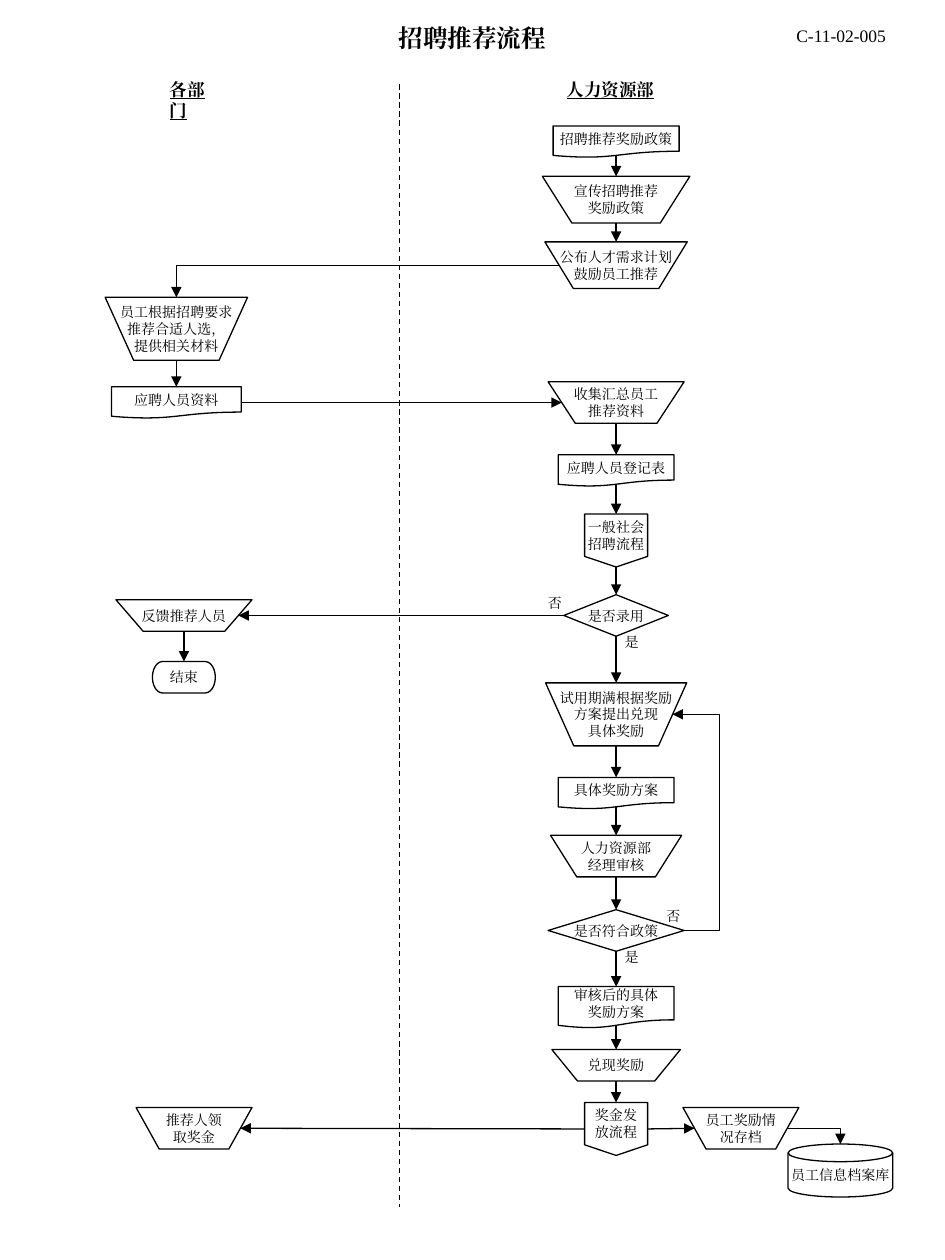
from dataclasses import dataclass

from lxml.etree import SubElement
from pptx import Presentation
from pptx.dml.color import RGBColor
from pptx.enum.dml import MSO_LINE
from pptx.enum.shapes import MSO_CONNECTOR, MSO_SHAPE
from pptx.enum.text import MSO_ANCHOR, MSO_AUTO_SIZE, PP_ALIGN
from pptx.oxml.ns import qn
from pptx.util import Inches, Pt


@dataclass(frozen=True)
class Theme:
    ink: RGBColor = RGBColor(0, 0, 0)
    paper: RGBColor = RGBColor(255, 255, 255)
    font: str = "Times New Roman"
    title_size: Pt = Pt(14)
    heading_size: Pt = Pt(10)
    node_size: Pt = Pt(8)
    stroke: Pt = Pt(0.75)


theme = Theme()
MARGINS = {
    "margin_left": Inches(0.1), "margin_right": Inches(0.1),
    "margin_top": Inches(0.05), "margin_bottom": Inches(0.05),
}
NODE_FRAME = {**MARGINS, "word_wrap": False, "vertical_anchor": MSO_ANCHOR.MIDDLE}
LABEL_FRAME = {**MARGINS, "word_wrap": False, "vertical_anchor": MSO_ANCHOR.TOP,
               "auto_size": MSO_AUTO_SIZE.SHAPE_TO_FIT_TEXT}
WRAPPED_FRAME = {**LABEL_FRAME, "word_wrap": True}
TITLE_FONT = {"size": theme.title_size, "bold": True}
HEADING_FONT = {"size": theme.heading_size, "bold": True, "underline": True}
CODE_FONT = {"size": theme.heading_size}
NODE_FONT = {"size": theme.node_size}


def write_text(frame, text, frame_format, font_format, align):
    frame.text = text
    for name, value in frame_format.items():
        setattr(frame, name, value)
    for paragraph in frame.paragraphs:
        paragraph.alignment = align
        for run in paragraph.runs:
            for name, value in {"name": theme.font, **font_format}.items():
                setattr(run.font, name, value)
            run.font.color.rgb = theme.ink
            # East Asian characters take the same typeface as Latin ones
            SubElement(run.font._element, qn("a:ea"), typeface=theme.font)


def style_line(connector, arrow):
    connector.line.color.rgb = theme.ink
    connector.line.width = theme.stroke
    if arrow:
        SubElement(connector.line._get_or_add_ln(), qn("a:tailEnd"), type="triangle")
    SubElement(connector._element.spPr, qn("a:effectLst"))


prs = Presentation()
prs.slide_width, prs.slide_height = Inches(7.5), Inches(10)
slide = prs.slides.add_slide(prs.slide_layouts[5])
shapes = slide.shapes

title = shapes.title
title.left, title.top = Inches(0), Inches(0.13)
title.width, title.height = Inches(7.5), Inches(0.34)
write_text(title.text_frame, "招聘推荐流程", WRAPPED_FRAME, TITLE_FONT, PP_ALIGN.CENTER)

# Flow steps: key, kind, centre x, top, width, height, text
OPERATION = MSO_SHAPE.FLOWCHART_MANUAL_OPERATION
DOCUMENT = MSO_SHAPE.FLOWCHART_DOCUMENT
DECISION = MSO_SHAPE.FLOWCHART_DECISION
SUBFLOW = MSO_SHAPE.FLOWCHART_OFFPAGE_CONNECTOR
TERMINATOR = MSO_SHAPE.FLOWCHART_TERMINATOR
DATABASE = MSO_SHAPE.FLOWCHART_MAGNETIC_DISK
HR = 4.89
steps = [
    ("policy", DOCUMENT, HR, 1, 1, 0.25, "招聘推荐奖励政策"),
    ("promote", OPERATION, HR, 1.4, 1.17, 0.37, "宣传招聘推荐\n奖励政策"),
    ("publish", OPERATION, HR, 1.92, 1.13, 0.37, "公布人才需求计划\n鼓励员工推荐"),
    ("recommend", OPERATION, 1.4, 2.36, 1.13, 0.5,
     "员工根据招聘要求\n推荐合适人选，\n提供相关材料"),
    ("candidate", DOCUMENT, 1.4, 3.07, 1.03, 0.25, "应聘人员资料"),
    ("collect", OPERATION, HR, 3.03, 1.08, 0.33, "收集汇总员工\n推荐资料"),
    ("register", DOCUMENT, HR, 3.61, 0.92, 0.25, "应聘人员登记表"),
    ("recruit", SUBFLOW, HR, 4.08, 0.5, 0.42, "一般社会\n招聘流程"),
    ("hired", DECISION, HR, 4.72, 0.83, 0.33, "是否录用"),
    ("feedback", OPERATION, 1.46, 4.76, 1.08, 0.25, "反馈推荐人员"),
    ("finish", TERMINATOR, 1.46, 5.25, 0.5, 0.25, "结束"),
    ("propose", OPERATION, HR, 5.42, 1.12, 0.5, "试用期满根据奖励\n方案提出兑现\n具体奖励"),
    ("plan", DOCUMENT, HR, 6.17, 0.92, 0.25, "具体奖励方案"),
    ("review", OPERATION, HR, 6.63, 1.04, 0.33, "人力资源部\n经理审核"),
    ("compliant", DECISION, HR, 7.22, 1.08, 0.33, "是否符合政策"),
    ("approved", DOCUMENT, HR, 7.83, 0.92, 0.33, "审核后的具体\n奖励方案"),
    ("fulfil", OPERATION, HR, 8.33, 1.02, 0.25, "兑现奖励"),
    ("payout", SUBFLOW, HR, 8.75, 0.5, 0.42, "奖金发\n放流程"),
    ("receive", OPERATION, 1.54, 8.79, 0.92, 0.33, "推荐人领\n取奖金"),
    ("archive", OPERATION, 5.88, 8.79, 0.92, 0.33, "员工奖励情\n况存档"),
    ("records", DATABASE, 6.67, 9.08, 0.83, 0.42, "员工信息档案库"),
]
nodes = {}
for key, kind, centre, top, width, height, text in steps:
    node = shapes.add_shape(kind, Inches(centre - width / 2), Inches(top),
                            Inches(width), Inches(height))
    node.shadow.inherit = False
    node.fill.solid()
    node.fill.fore_color.rgb = theme.paper
    node.line.color.rgb = theme.ink
    node.line.width = theme.stroke
    write_text(node.text_frame, text, NODE_FRAME, NODE_FONT, PP_ALIGN.CENTER)
    nodes[key] = node

# Connection sites as fractions of a step's width and height
TOP, LEFT, BOTTOM, RIGHT = range(4)
SITES = {TOP: (0.5, 0), LEFT: (0, 0.5), BOTTOM: (0.5, 1), RIGHT: (1, 0.5)}
SPECIAL_SITES = {
    (OPERATION, LEFT): (0.1, 0.5),
    (OPERATION, RIGHT): (0.9, 0.5),
    (DOCUMENT, BOTTOM): (0.5, 0.93),
    (DATABASE, 1): (0.5, 0),  # site 1 of the disk is its top
}
STRAIGHT, CORNER, LOOP = "line", "bentConnector2", "bentConnector3"
LOOP_X = Inches(5.71)

chains = [
    ("policy", "promote", "publish"),
    ("recommend", "candidate"),
    ("collect", "register", "recruit", "hired", "propose", "plan", "review",
     "compliant", "approved", "fulfil", "payout"),
    ("feedback", "finish"),
]
flows = [(a, BOTTOM, b, TOP, STRAIGHT) for chain in chains for a, b in zip(chain, chain[1:])]
flows += [
    ("publish", LEFT, "recommend", TOP, CORNER),
    ("candidate", RIGHT, "collect", LEFT, STRAIGHT),
    ("hired", LEFT, "feedback", RIGHT, STRAIGHT),
    ("compliant", RIGHT, "propose", RIGHT, LOOP),
    ("payout", LEFT, "receive", RIGHT, STRAIGHT),
    ("payout", RIGHT, "archive", LEFT, STRAIGHT),
    ("archive", RIGHT, "records", 1, CORNER),
]
for source, source_site, target, target_site, route in flows:
    ends = []
    for key, site in ((source, source_site), (target, target_site)):
        node = nodes[key]
        across, down = SPECIAL_SITES.get((node.auto_shape_type, site), SITES[site])
        ends += [int(node.left + across * node.width), int(node.top + down * node.height)]
    kind = MSO_CONNECTOR.STRAIGHT if route == STRAIGHT else MSO_CONNECTOR.ELBOW
    flow = shapes.add_connector(kind, *ends)
    flow.begin_connect(nodes[source], source_site)
    flow.end_connect(nodes[target], target_site)
    # Joining snaps to the bounding box, so the true sites are set again
    for name, value in zip(("begin_x", "begin_y", "end_x", "end_y"), ends):
        setattr(flow, name, value)
    geometry = flow._element.spPr.find(qn("a:prstGeom"))
    geometry.set("prst", route)
    if route == LOOP:
        bend = round(100000 * (LOOP_X - ends[0]) / (ends[2] - ends[0]))
        adjustments = geometry.find(qn("a:avLst"))
        SubElement(adjustments, qn("a:gd"), name="adj1", fmla=f"val {bend}")
    style_line(flow, arrow=True)

divider = shapes.add_connector(MSO_CONNECTOR.STRAIGHT, Inches(3.17), Inches(0.67),
                               Inches(3.17), Inches(9.58))
divider.line.dash_style = MSO_LINE.DASH
style_line(divider, arrow=False)

# Headings, document number and branch labels
labels = [
    ("各部门", 1.25, 0.58, 0.61, 0.27, LABEL_FRAME, HEADING_FONT, PP_ALIGN.LEFT),
    ("人力资源部", 4.4, 0.58, 0.89, 0.27, LABEL_FRAME, HEADING_FONT, PP_ALIGN.LEFT),
    ("C-11-02-005", 6.22, 0.15, 0.91, 0.27, WRAPPED_FRAME, CODE_FONT, PP_ALIGN.CENTER),
]
for answer, left, top in (("否", 4.25, 4.67), ("否", 5.19, 7.15),
                          ("是", 4.86, 4.98), ("是", 4.86, 7.48)):
    labels.append((answer, left, top, 0.31, 0.24, LABEL_FRAME, NODE_FONT, PP_ALIGN.LEFT))
for text, left, top, width, height, frame_format, font_format, align in labels:
    label = shapes.add_textbox(Inches(left), Inches(top), Inches(width), Inches(height))
    write_text(label.text_frame, text, frame_format, font_format, align)

prs.save("out.pptx")
